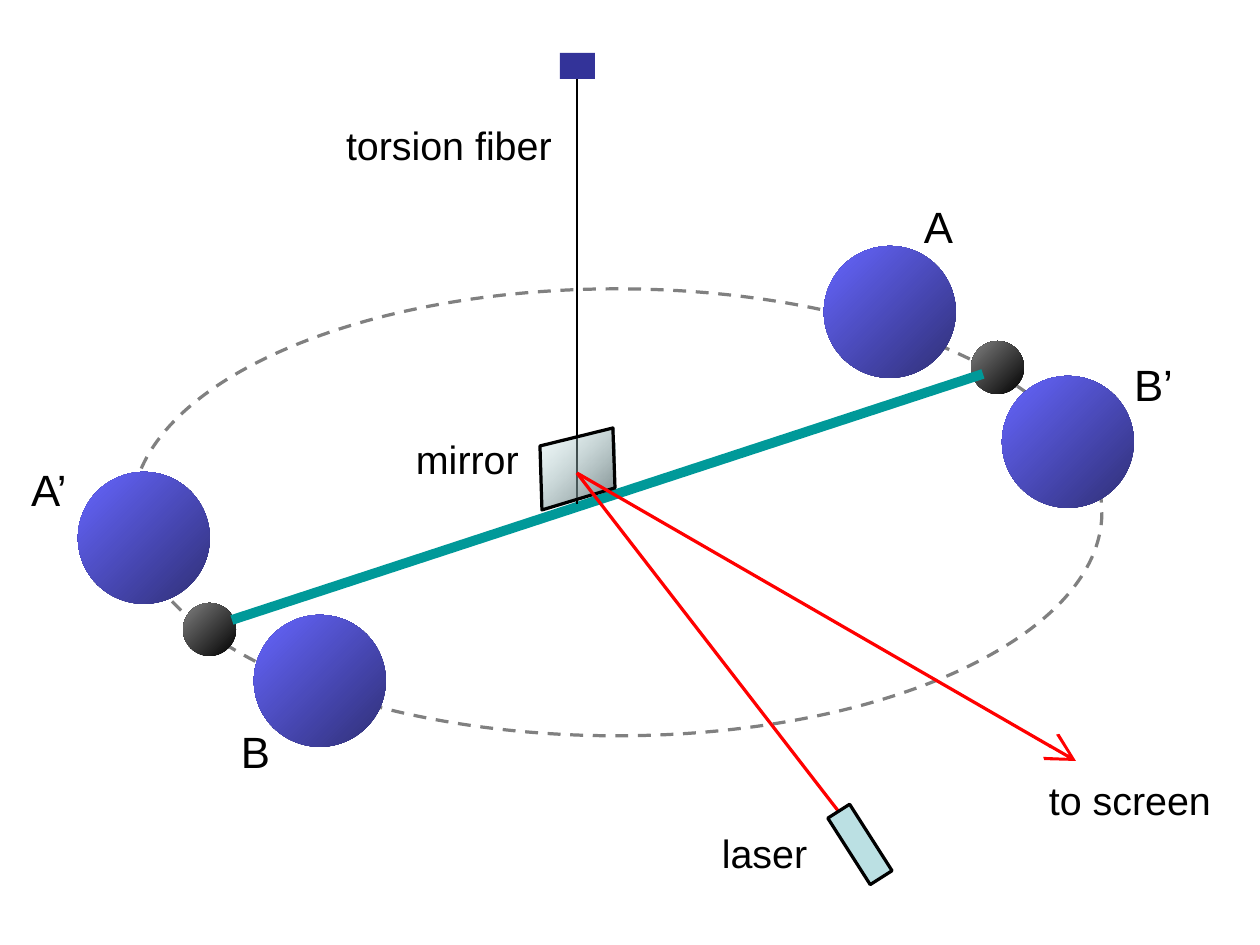
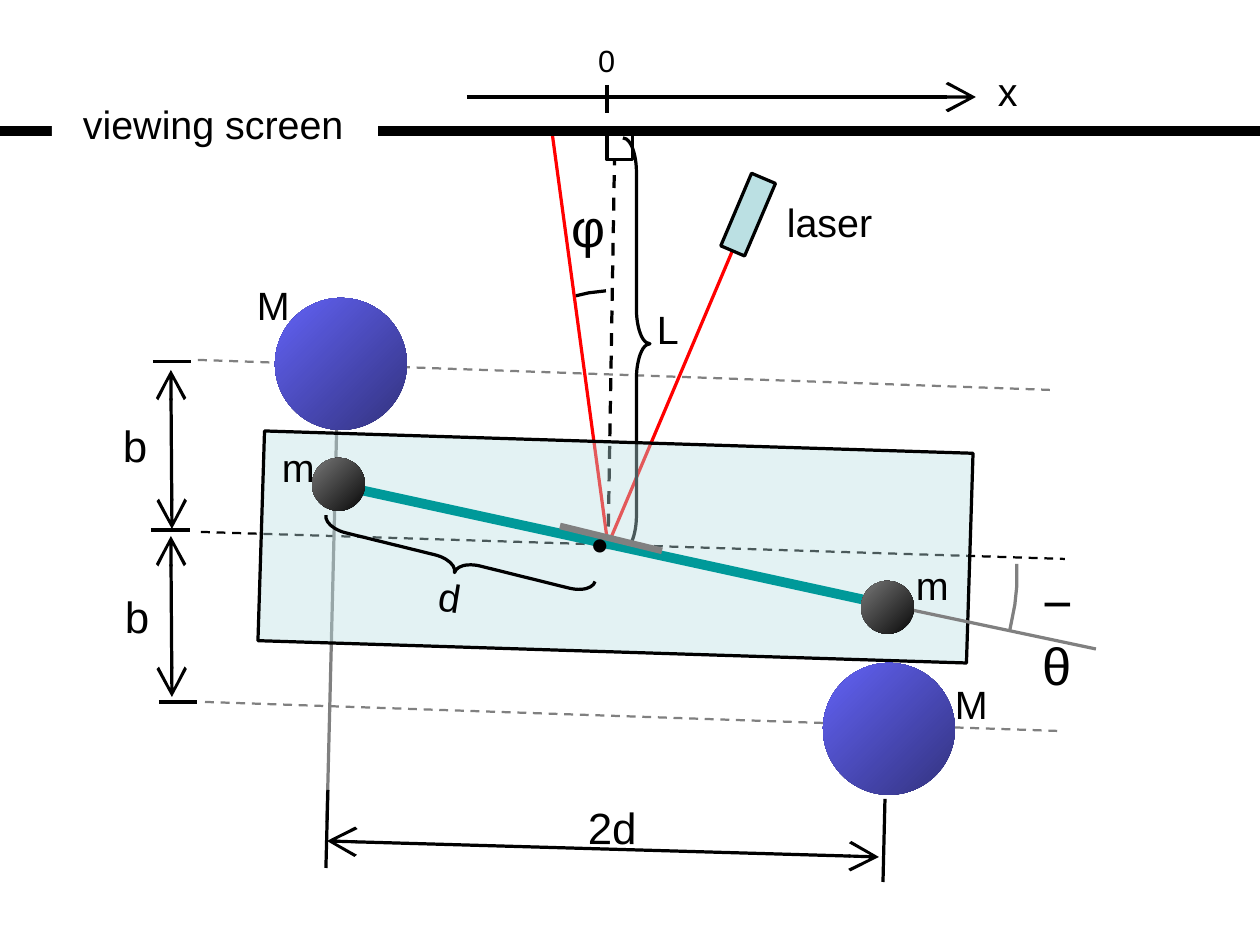
import dataclasses

import pptx
import pptx.dml.color
import pptx.enum.dml
import pptx.enum.shapes
import pptx.enum.text
import pptx.oxml
import pptx.oxml.ns
import pptx.util

KIND = pptx.enum.shapes.MSO_SHAPE
SCALE = 914400 / 315  # EMU in one px
SLACK = 4  # px added to a label's width so its text stays on one line


@dataclasses.dataclass(frozen=True)
class Theme:
    font: str = "Arial"
    ink: str = "000000"
    paper: str = "FFFFFF"
    gray: str = "808080"
    beam: str = "FF0000"
    bar: str = "009999"
    glass: str = "BBE0E3"
    shade: str = "566768"
    mount: str = "333399"
    big: tuple = ("2F2F75", "6666FF")
    small: tuple = ("000000", "808080")
    tiny: int = 7
    text: int = 9
    mark: int = 10
    greek: int = 12
    thin: float = 0.5
    line: float = 0.75
    bold: float = 1.5
    thick: float = 2.25
    light: int = 225  # direction of the shading, in degrees


THEME = Theme()
# Label heights by type size
TALL = {THEME.tiny: 69, THEME.text: 79, THEME.mark: 85, THEME.greek: 95}


def emu(px):
    return pptx.util.Emu(round(px * SCALE))


def rgb(code):
    return pptx.dml.color.RGBColor.from_string(code)


def fade(shape, *rates):
    """Set the opacity, in percent, of the fill colours in order."""
    tag = pptx.oxml.ns.qn("a:srgbClr")
    for node, rate in zip(shape.element.spPr.iter(tag), rates):
        alpha = node.makeelement(pptx.oxml.ns.qn("a:alpha"), {"val": str(rate * 1000)})
        node.append(alpha)


def join(line, shape, side):
    """Tie the start of a line to a side, keeping its place on turned shapes."""
    x, y = line.begin_x, line.begin_y
    line.begin_connect(shape, side)
    line.begin_x, line.begin_y = x, y


class Board:
    def __init__(self, deck):
        self.deck = deck
        self.items = None

    def start(self):
        slide = self.deck.slides.add_slide(self.deck.slide_layouts[6])
        self.items = slide.shapes

    def style(self, shape, fill=None, edge=None, turn=0, dash=False):
        shape.shadow.inherit = False
        shape.rotation = turn
        if fill is None:
            shape.fill.background()
        elif isinstance(fill, tuple):
            shape.fill.gradient()
            shape.fill.gradient_angle = 360 - THEME.light + turn
            for stop, code in zip(shape.fill.gradient_stops, fill):
                stop.color.rgb = rgb(code)
        else:
            shape.fill.solid()
            shape.fill.fore_color.rgb = rgb(fill)
        if edge:
            self.stroke(shape.line, edge, THEME.line, dash)
        else:
            shape.line.fill.background()
        return shape

    def stroke(self, line, color, width, dash):
        line.color.rgb = rgb(color)
        line.width = pptx.util.Pt(width)
        if dash:
            line.dash_style = pptx.enum.dml.MSO_LINE.DASH

    def shape(self, kind, x, y, w, h, **look):
        item = self.items.add_shape(kind, emu(x), emu(y), emu(w), emu(h))
        return self.style(item, **look)

    def ball(self, x, y, size, fill, turn=0):
        return self.shape(KIND.OVAL, x, y, size, size, fill=fill, turn=turn)

    def mass(self, x, y, turn=0):
        return self.ball(x, y, 132, THEME.big, turn)

    def bob(self, x, y, turn=0):
        return self.ball(x, y, 53, THEME.small, turn)

    def laser(self, x, y, turn):
        return self.shape(KIND.RECTANGLE, x, y, 26, 79, fill=THEME.glass,
                          edge=THEME.ink, turn=turn)

    def brace(self, x, y, w, h, turn=0):
        item = self.shape(KIND.RIGHT_BRACE, x, y, w, h, edge=THEME.ink, turn=turn)
        item.adjustments[0] = h / 12 / w
        return item

    def trace(self, points, close=False, **look):
        (x, y), *rest = points
        pen = self.items.build_freeform(x, y, SCALE)
        pen.add_line_segments(rest, close=close)
        return self.style(pen.convert_to_shape(), **look)

    def line(self, start, end, color=THEME.ink, width=THEME.line, dash=False, tips=()):
        kind = pptx.enum.shapes.MSO_CONNECTOR.STRAIGHT
        item = self.items.add_connector(kind, *map(emu, start + end))
        self.stroke(item.line, color, width, dash)
        prop = item.element.spPr
        edge = prop.find(pptx.oxml.ns.qn("a:ln"))
        for tip in tips:
            edge.append(edge.makeelement(pptx.oxml.ns.qn(f"a:{tip}End"), {"type": "arrow"}))
        prop.append(prop.makeelement(pptx.oxml.ns.qn("a:effectLst"), {}))
        return item

    def label(self, text, x, y, w, size=THEME.text, turn=0, wrap=False, fill=None):
        wide = w if wrap else w + SLACK
        item = self.items.add_textbox(emu(x), emu(y), emu(wide), emu(TALL[size]))
        item.rotation = turn
        if fill:
            item.fill.solid()
            item.fill.fore_color.rgb = rgb(fill)
        frame = item.text_frame
        frame.word_wrap = wrap
        frame.auto_size = pptx.enum.text.MSO_AUTO_SIZE.SHAPE_TO_FIT_TEXT
        run = frame.paragraphs[0].add_run()
        run.text = text
        run.font.name = THEME.font
        run.font.size = pptx.util.Pt(size)
        run.font.color.rgb = rgb(THEME.ink)
        return item


def side(board):
    board.start()
    # Orbit, bar and masses
    board.shape(KIND.OVAL, 132, 289, 970, 447, edge=THEME.gray, dash=True)
    for spot in ((183, 603), (971, 341)):
        board.bob(*spot)
    board.line((232, 620), (983, 374), THEME.bar, THEME.thick)
    for spot in ((78, 472), (1002, 376), (824, 246), (254, 615)):
        board.mass(*spot)

    # Fiber, its mount and the mirror
    fiber = board.line((577, 79), (577, 504), width=THEME.thin)
    mount = board.shape(KIND.RECTANGLE, 560, 53, 35, 26, fill=THEME.mount)
    join(fiber, mount, 2)
    mirror = board.trace([(542, 510), (540, 446), (613, 428), (615, 488)], close=True,
                         fill=(THEME.shade, THEME.glass), edge=THEME.ink)
    fade(mirror, 87, 16)

    # Light path
    beam = board.line((839, 812), (577, 473), THEME.beam)
    board.line((1076, 761), (577, 473), THEME.beam, tips=["head"])
    join(beam, board.laser(847, 805, 327.5), 0)

    # Labels
    for text, x, y, w in (("laser", 691, 814, 148), ("mirror", 385, 420, 164),
                          ("torsion fiber", 315, 106, 268),
                          ("to screen", 1018, 761, 224)):
        board.label(text, x, y, w)
    for text, x, y, w in (("A", 893, 184, 91), ("B’", 1103, 342, 101),
                          ("A’", 0, 447, 101), ("B", 210, 709, 91)):
        board.label(text, x, y, w, size=THEME.mark)


def top(board):
    board.start()
    # Light path and screen
    board.line((198, 360), (1050, 390), THEME.gray, THEME.thin, dash=True)
    beam = board.line((762, 181), (608, 545), THEME.beam)
    board.line((552, 132), (608, 545), THEME.beam)
    board.line((0, 131), (1260, 131), width=THEME.thick)
    board.label("viewing screen", 52, 85, 322, fill=THEME.paper)
    join(beam, board.laser(735, 175, 203), 2)
    board.label("φ", 541, 180, 88, size=THEME.greek)
    board.line((615, 130), (608, 551), dash=True)
    board.trace([(606, 291), (589, 293), (576, 296)], edge=THEME.ink)

    # Screen axis and distance
    board.line((607, 85), (607, 113))
    board.line((467, 97), (976, 97), tips=["tail"])
    board.label("x", 967, 52, 82)
    board.label("0", 567, 26, 79, size=THEME.tiny)
    board.shape(KIND.RECTANGLE, 607, 134, 26, 26, fill=THEME.paper, edge=THEME.ink)
    board.label("laser", 756, 183, 148)
    board.brace(623, 138, 27, 412)
    board.label("L", 626, 290, 85)

    # Guides and glass case
    board.line((205, 702), (1058, 731), THEME.gray, THEME.thin, dash=True)
    board.line((201, 532), (1065, 559), width=THEME.thin, dash=True)
    board.line((339, 337), (327, 822), THEME.gray)
    case = board.shape(KIND.RECTANGLE, 261, 442, 709, 210, fill=THEME.glass,
                       edge=THEME.ink, turn=1.8)
    fade(case, 40)

    # Bar, masses and angle
    board.line((888, 605), (1096, 649), THEME.gray)
    board.line((337, 485), (888, 605), THEME.bar, THEME.thick)
    for spot in ((861, 581), (312, 458)):
        board.bob(*spot, turn=9)
    board.trace([(1017, 564), (1017, 586), (1015, 605), (1010, 630)], edge=THEME.gray)
    board.label("−θ", 1012, 555, 107, size=THEME.greek, wrap=True)
    board.line((560, 526), (662, 551), THEME.gray, THEME.bold)
    for spot in ((823, 663), (275, 298)):
        board.mass(*spot, turn=9)

    # Dimension lines
    for start, end in (((328, 790), (326, 868)), ((885, 799), (883, 882)),
                       ((153, 362), (191, 362)), ((151, 530), (190, 530)),
                       ((159, 702), (197, 702))):
        board.line(start, end)
    for start, end in (((327, 841), (879, 857)), ((171, 370), (172, 529)),
                       ((171, 536), (172, 697))):
        board.line(start, end, tips=["head", "tail"])
    for text, x, y, w in (("b", 92, 403, 85), ("b", 94, 574, 85), ("2d", 557, 785, 110)):
        board.label(text, x, y, w, size=THEME.mark, turn=0.3)
    board.label("●", 560, 510, 91, size=THEME.tiny, turn=9)
    board.brace(445, 422, 25, 277, turn=103.9)
    board.label("d", 408, 558, 85, turn=9)

    # Mass labels
    for text, x, y in (("m", 885, 546), ("m", 251, 428), ("M", 924, 665), ("M", 226, 266)):
        board.label(text, x, y, 94)


def main():
    deck = pptx.Presentation()
    deck.slide_width, deck.slide_height = emu(1260), emu(945)
    board = Board(deck)
    side(board)
    top(board)
    deck.save("out.pptx")


if __name__ == "__main__":
    main()
